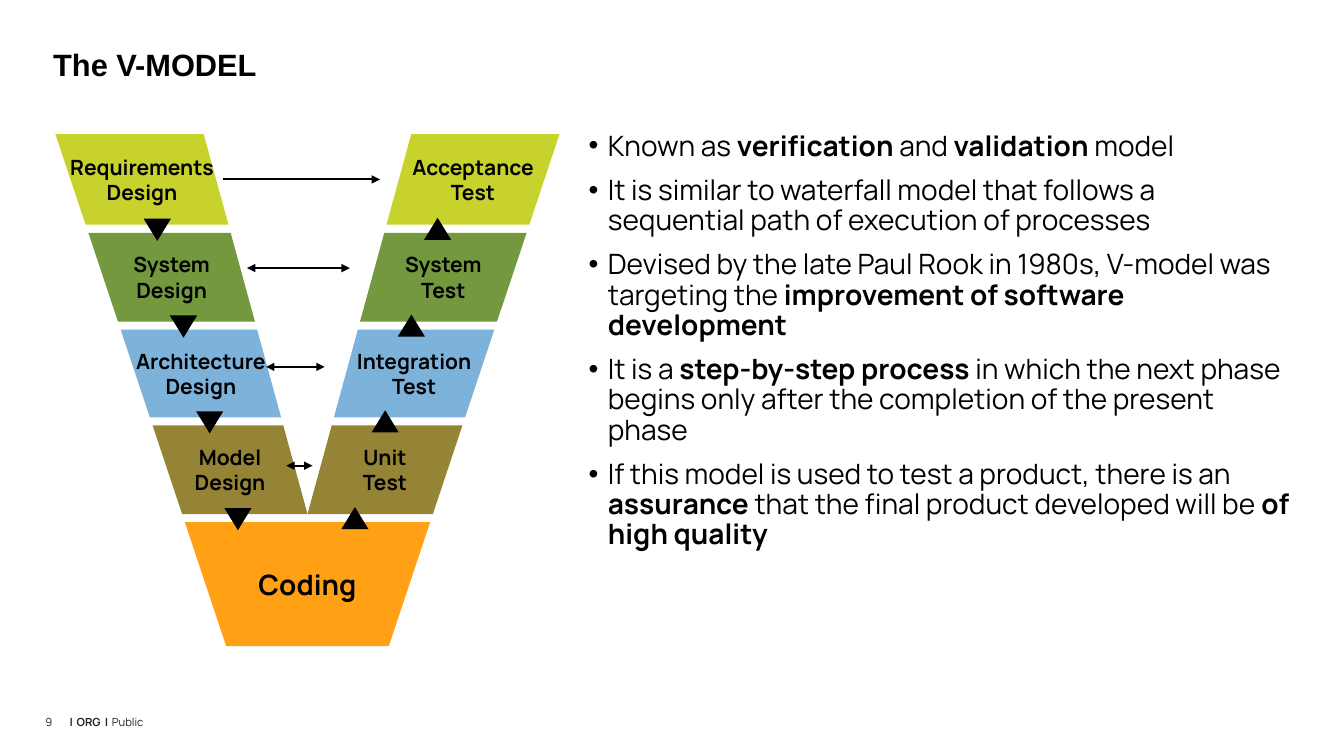
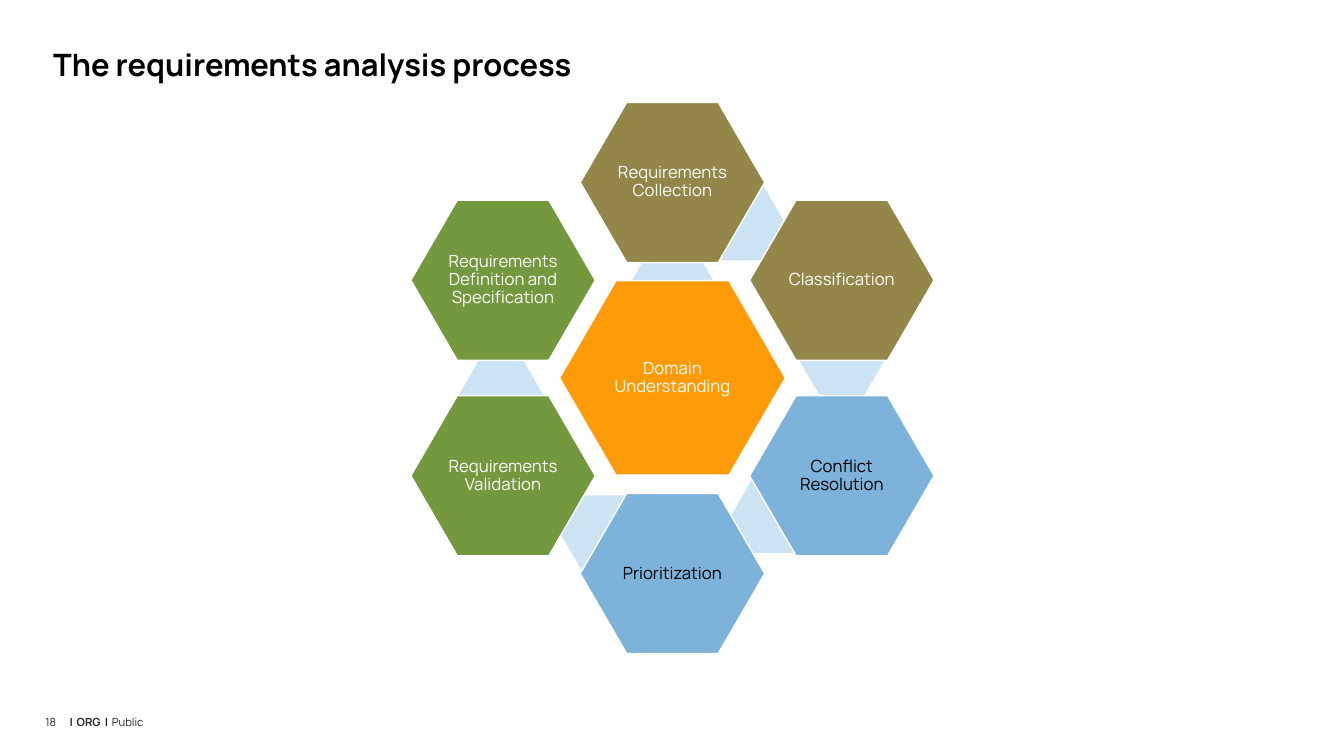
from math import cos, radians, sin

from lxml.etree import SubElement
from pptx import Presentation
from pptx.dml.color import RGBColor
from pptx.enum.shapes import MSO_CONNECTOR, MSO_SHAPE
from pptx.enum.text import MSO_ANCHOR, PP_ALIGN
from pptx.oxml.ns import qn
from pptx.util import Inches, Pt

# Shared colours and text styles
BLACK, WHITE, GREY = "000000", "FFFFFF", "262626"
LIME, GREEN, BLUE = "C7D22D", "73983E", "7DB2DB"
OLIVE, BROWN, PALE = "958436", "928648", "CCE3F3"
ORANGE, AMBER = "FFA015", "FF9B09"
FONT = "Manrope"
FOOTER = {"size": Pt(8), "name": FONT, "bold": False}
TITLE = {"size": Pt(22), "name": FONT, "bold": True}
BODY = {"size": Pt(20), "name": FONT, "bold": False}
PHASE = {"size": Pt(15), "name": FONT, "bold": True}
HEX = {"size": Pt(12), "name": FONT, "bold": False}

# V-model: top, bottom, colour, labels, arrow y, arrow from, arrow to, triangle centres
V_AXIS = 3.05
PHASES = [
    (1.33, 2.23, LIME, "Requirements\nDesign", "Acceptance\nTest", 1.78, 2.21, 3.77, 1.56, 4.34),
    (2.31, 3.19, GREEN, "System\nDesign", "System\nTest", 2.66, 2.45, 3.47, 1.82, 4.08),
    (3.27, 4.14, BLUE, "Architecture\nDesign", "Integration\nTest", 3.64, 2.64, 3.22, 2.08, 3.82),
    (4.22, 5.10, OLIVE, "Model\nDesign", "Unit\nTest", 4.62, 2.84, 3.10, 2.36, 3.52),
]
CODING_TOP, CODING_BOTTOM = 5.18, 6.41
BULLETS = [
    "Known as **verification** and **validation** model",
    "It is similar to waterfall model that follows a sequential path of execution of processes",
    "Devised by the late Paul Rook in 1980s, V-model was targeting the "
    "**improvement of software development**",
    "It is a **step-by-step process **in which the next phase begins only after "
    "the completion of the present phase",
    "If this model is used to test a product, there is an **assurance** that the final "
    "product developed will be **of high quality**",
]

# Ring of steps, clockwise from the top, and the links behind them
RING_X, RING_Y, RING_R = 6.67, 3.75, 1.94
STEPS = [
    ("Requirements Collection", BROWN, WHITE),
    ("Classification", BROWN, WHITE),
    ("Conflict Resolution", BLUE, BLACK),
    ("Prioritization", BLUE, BLACK),
    ("Requirements Validation", GREEN, WHITE),
    ("Requirements Definition and Specification", GREEN, WHITE),
]
LINKS = [(7.37, 2.22), (8.35, 3.58), (7.67, 5.12), (5.97, 5.28), (4.97, 3.92)]


def rgb(value):
    return RGBColor.from_string(value)


def write(tf, lines, style, color, **para):
    """Fill a text frame; **marks** toggle bold, para holds paragraph settings."""
    for i, line in enumerate(lines):
        p = tf.paragraphs[0] if i == 0 else tf.add_paragraph()
        for name, value in para.items():
            if name != "space_before" or i:
                setattr(p, name, value)
        for j, part in enumerate(line.split("**")):
            if part:
                r = p.add_run()
                r.text = part
                for name, value in style.items():
                    setattr(r.font, name, value)
                r.font.bold = style["bold"] or j % 2 == 1
                r.font.color.rgb = rgb(color)


def add_text(s, x, y, w, h, lines, style, color=BLACK, inset=None, wrap=True, **para):
    tf = s.shapes.add_textbox(Inches(x), Inches(y), Inches(w), Inches(h)).text_frame
    tf.word_wrap = wrap
    if inset is not None:
        set_margins(tf, inset)
    write(tf, lines, style, color, **para)
    return tf


def set_margins(tf, inset):
    for side in ("left", "right", "top", "bottom"):
        setattr(tf, f"margin_{side}", Inches(inset))


def paint(sp, fill, line=None):
    sp.shadow.inherit = False
    sp.fill.solid()
    sp.fill.fore_color.rgb = rgb(fill)
    if line:
        sp.line.color.rgb = rgb(line)
        sp.line.width = Pt(1)
    else:
        sp.line.fill.background()


def label(sp, lines, style, color, **para):
    tf = sp.text_frame
    tf.word_wrap = True
    tf.vertical_anchor = MSO_ANCHOR.MIDDLE
    set_margins(tf, 0.02)
    write(tf, lines, style, color, alignment=PP_ALIGN.CENTER, **para)


def add_bullets(tf):
    for p in tf.paragraphs:
        pPr = p._p.get_or_add_pPr()
        pPr.set("marL", str(Inches(0.19)))
        pPr.set("indent", str(-Inches(0.19)))
        SubElement(pPr, qn("a:buFont"), typeface="Arial")
        SubElement(pPr, qn("a:buChar"), char="•")


def add_tabs(p, stops):
    tabs = SubElement(p._p.get_or_add_pPr(), qn("a:tabLst"))
    for stop in stops:
        SubElement(tabs, qn("a:tab"), pos=str(Inches(stop)), algn="l")


def add_polygon(s, points, fill, text, style):
    pts = [(Inches(x), Inches(y)) for x, y in points]
    builder = s.shapes.build_freeform(*pts[0])
    builder.add_line_segments(pts[1:], close=True)
    sp = builder.convert_to_shape()
    paint(sp, fill)
    label(sp, text.split("\n"), style, BLACK)


def add_arrow(s, x1, x2, y, both):
    c = s.shapes.add_connector(MSO_CONNECTOR.STRAIGHT, Inches(x1), Inches(y), Inches(x2), Inches(y))
    c.line.color.rgb = rgb(BLACK)
    c.line.width = Pt(1.5)
    ln = c.line._get_or_add_ln()
    for end in ("headEnd", "tailEnd") if both else ("tailEnd",):
        SubElement(ln, qn(f"a:{end}"), type="triangle")
    SubElement(c._element.spPr, qn("a:effectLst"))


def add_triangle(s, cx, cy, rotation):
    w, h = 0.27, 0.22
    sp = s.shapes.add_shape(MSO_SHAPE.DOWN_ARROW, Inches(cx - w / 2), Inches(cy - h / 2),
                            Inches(w), Inches(h))
    sp.adjustments[0] = sp.adjustments[1] = 1
    sp.rotation = rotation
    paint(sp, BLACK)


def add_hexagon(s, cx, cy, w, h, fill, line=None, adj=0.29):
    sp = s.shapes.add_shape(MSO_SHAPE.HEXAGON, Inches(cx - w / 2), Inches(cy - h / 2),
                            Inches(w), Inches(h))
    sp.adjustments[0] = adj
    paint(sp, fill, line)
    return sp


def add_step(s, cx, cy, w, h, text, fill, color):
    sp = add_hexagon(s, cx, cy, w, h, fill, WHITE)
    label(sp, [text], HEX, color, line_spacing=0.9)


def add_base(prs, number, title, font=FONT):
    """New slide with footer, page number and title."""
    s = prs.slides.add_slide(prs.slide_layouts[6])
    tf = add_text(s, 0.69, 7, 4.44, 0.19, ["**|\tORG\t|\t**Public"], FOOTER, GREY, 0,
                  line_spacing=Pt(16.8))
    add_tabs(tf.paragraphs[0], (0.07, 0.35, 0.42))
    add_text(s, 0.45, 7, 0.18, 0.19, [str(number)], FOOTER, GREY, 0, False,
             line_spacing=Pt(16.8))
    add_text(s, 0.43, 0.45, 12.5, 0.72, [title], {**TITLE, "name": font}, line_spacing=0.9)
    return s


def outer(y):
    return 0.55 + (y - 1.33) / 3


def inner(y):
    return V_AXIS - (5.1 - y) * 0.273


def mirror(points):
    return [(2 * V_AXIS - x, y) for x, y in points]


def v_model_slide(prs):
    s = add_base(prs, 9, "The V-MODEL", "Arial")
    tf = add_text(s, 5.74, 1.26, 7.19, 5.1, BULLETS, BODY, line_spacing=0.9, space_before=Pt(10))
    add_bullets(tf)

    # Bands of the V, right arm mirrored from the left
    edge = [(outer(CODING_TOP), CODING_TOP), (outer(CODING_BOTTOM), CODING_BOTTOM)]
    add_polygon(s, edge + mirror(edge)[::-1], ORANGE, "Coding", {**BODY, "bold": True})
    for top, bottom, fill, design, test, *_ in PHASES:
        band = [(outer(top), top), (outer(bottom), bottom), (inner(bottom), bottom), (inner(top), top)]
        add_polygon(s, band, fill, design, PHASE)
        add_polygon(s, mirror(band), fill, test, PHASE)

    # Arrows between the arms, triangles in the gaps
    next_tops = [phase[0] for phase in PHASES[1:]] + [CODING_TOP]
    for i, (phase, next_top) in enumerate(zip(PHASES, next_tops)):
        y, x1, x2, down_x, up_x = phase[5:]
        add_arrow(s, x1, x2, y, both=i > 0)
        gap = (phase[1] + next_top) / 2
        add_triangle(s, down_x, gap + 0.01, 0)
        add_triangle(s, up_x, gap, 180)


def requirements_slide(prs):
    s = add_base(prs, 18, "The requirements analysis process")

    # Pale links lie behind the steps
    add_hexagon(s, RING_X, 2.88, 0.92, 0.79, PALE)
    for cx, cy in LINKS:
        add_hexagon(s, cx, cy, 0.84, 0.73, PALE)

    # Centre and ring
    add_step(s, RING_X, RING_Y, 2.24, 1.93, "Domain Understanding", AMBER, WHITE)
    for i, (text, fill, color) in enumerate(STEPS):
        angle = radians(60 * i)
        add_step(s, RING_X + RING_R * sin(angle), RING_Y - RING_R * cos(angle),
                 1.83, 1.59, text, fill, color)


def main():
    prs = Presentation()
    prs.slide_width, prs.slide_height = Inches(13.33), Inches(7.5)
    v_model_slide(prs)
    requirements_slide(prs)
    prs.save("out.pptx")


if __name__ == "__main__":
    main()
